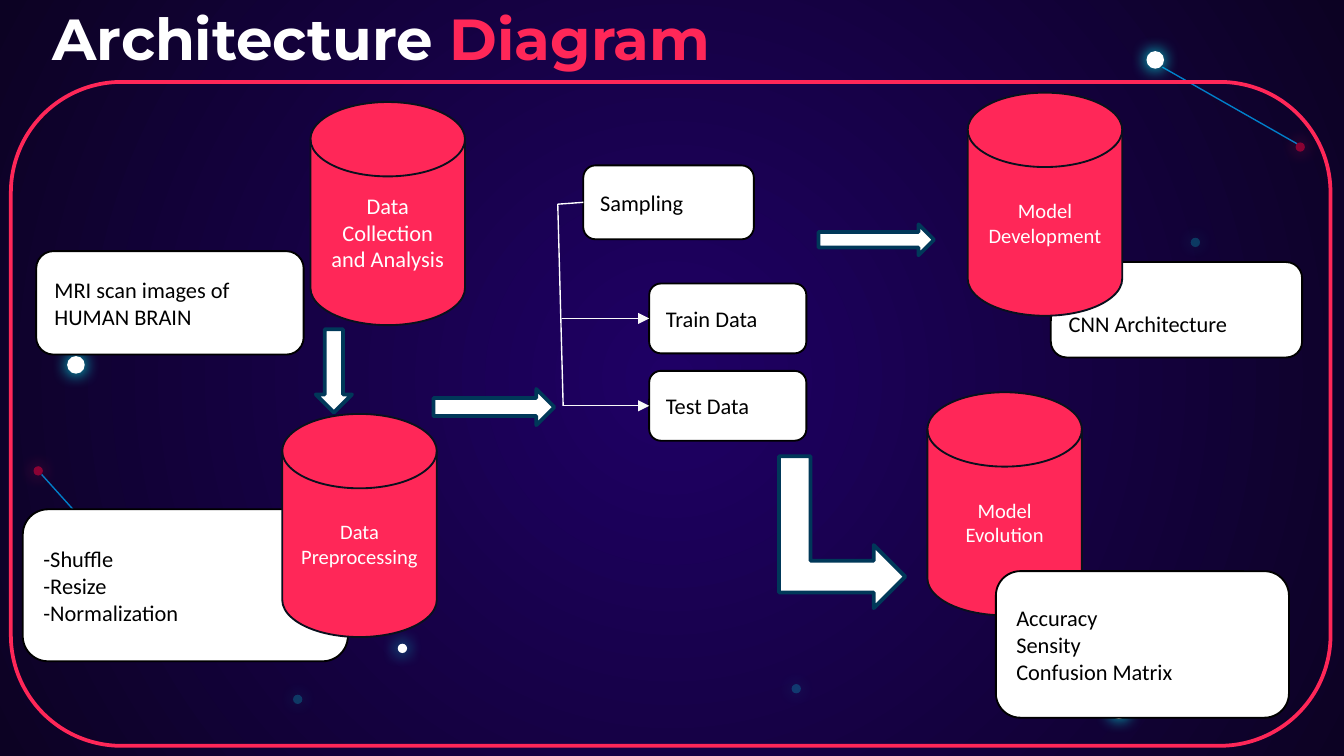
from dataclasses import dataclass

from lxml import etree
from pptx import Presentation
from pptx import util as u
from pptx.dml.color import RGBColor
from pptx.enum import shapes, text
from pptx.oxml.ns import qn

KIND = shapes.MSO_SHAPE


@dataclass(frozen=True)
class Theme:
    center: str = "1F0065"
    edge: str = "0C0223"
    white: str = "FFFFFF"
    black: str = "000000"
    accent: str = "FF2758"
    red: str = "FF003A"
    cyan: str = "00FFFD"
    thread: str = "007FCA"
    disk_line: str = "09101D"
    arrow_line: str = "003859"
    branch: str = "F9F9F9"
    heading_font: str = "Montserrat"
    body_font: str = "Calibri"
    heading: int = 31
    body: int = 12
    small: int = 11


def add_element(parent, tag, **attributes):
    return etree.SubElement(parent, qn(tag), {k: str(v) for k, v in attributes.items()})


def write(para, content, *, size, color, font, bold=False):
    span = para.add_run()
    span.text = content
    span.font.size = u.Pt(size)
    span.font.name = font
    span.font.bold = bold
    span.font.color.rgb = RGBColor.from_string(color)


class PageBuilder:
    def __init__(self, page, theme):
        self.page = page
        self.theme = theme

    def background(self):
        fill = self.page.background.fill
        fill.gradient()
        for stop, color, position in zip(
            fill.gradient_stops, (self.theme.center, self.theme.edge), (0, 1)
        ):
            stop.color.rgb = RGBColor.from_string(color)
            stop.position = position
        gradient = self.page.background._cSld.find(".//" + qn("a:gradFill"))
        gradient.remove(gradient.find(qn("a:lin")))
        route = etree.Element(qn("a:path"), {"path": "circle"})
        gradient.find(qn("a:gsLst")).addnext(route)
        add_element(route, "a:fillToRect", l=50000, t=50000, r=50000, b=50000)

    def title(self, left, top, width, height, parts):
        box = self.page.shapes.title
        box.left, box.top, box.width, box.height = map(u.Pt, (left, top, width, height))
        frame = box.text_frame
        frame.auto_size = text.MSO_AUTO_SIZE.NONE
        frame.word_wrap = True
        frame.vertical_anchor = text.MSO_ANCHOR.MIDDLE
        frame.margin_left = frame.margin_right = u.Pt(7.2)
        frame.margin_top = frame.margin_bottom = u.Pt(7.2)
        para = frame.paragraphs[0]
        para.alignment = text.PP_ALIGN.LEFT
        para.line_spacing = 1
        for content, color in parts:
            write(para, content, size=self.theme.heading, color=color,
                  font=self.theme.heading_font, bold=True)

    def shape(self, kind, left, top, width, height, fill=None, line=None, weight=1):
        box = self.page.shapes.add_shape(kind, *map(u.Pt, (left, top, width, height)))
        box.shadow.inherit = False
        if fill:
            box.fill.solid()
            box.fill.fore_color.rgb = RGBColor.from_string(fill)
        else:
            box.fill.background()
        if line:
            box.line.color.rgb = RGBColor.from_string(line)
            box.line.width = u.Pt(weight)
        else:
            box.line.fill.background()
        return box

    def dot(self, left, top, size, color, glow, opacity=100):
        box = self.shape(KIND.OVAL, left, top, size, size, fill=color)
        properties = box.element.spPr
        if opacity < 100:
            tint = properties.find(qn("a:solidFill")).find(qn("a:srgbClr"))
            add_element(tint, "a:alpha", val=opacity * 1000)
        shadow = add_element(properties.find(qn("a:effectLst")), "a:outerShdw",
                             blurRad=u.Pt(9), dist=0, dir=0, algn="ctr", rotWithShape=0)
        add_element(shadow, "a:srgbClr", val=glow)

    def fill_text(self, box, lines, align, **style):
        frame = box.text_frame
        frame.word_wrap = True
        frame.vertical_anchor = text.MSO_ANCHOR.MIDDLE
        for index, content in enumerate(lines):
            para = frame.add_paragraph() if index else frame.paragraphs[0]
            para.alignment = align
            write(para, content, font=self.theme.body_font, **style)

    def card(self, left, top, width, height, *lines, inset_top=3.6):
        box = self.shape(KIND.ROUNDED_RECTANGLE, left, top, width, height,
                         self.theme.white, self.theme.black)
        box.text_frame.margin_top = u.Pt(inset_top)
        self.fill_text(box, lines, text.PP_ALIGN.LEFT,
                       size=self.theme.body, color=self.theme.black)
        return box

    def disk(self, left, top, label, size):
        box = self.shape(KIND.FLOWCHART_MAGNETIC_DISK, left, top, 82.8, 119.5,
                         self.theme.accent, self.theme.disk_line)
        self.fill_text(box, [label], text.PP_ALIGN.CENTER,
                       size=size, color=self.theme.white)

    def arrow(self, kind, left, top, width, height, rotation=0):
        box = self.shape(kind, left, top, width, height,
                         self.theme.white, self.theme.arrow_line, 2)
        box.rotation = rotation

    def line(self, start, end, color, source=None, target=None, arrow=False):
        link = self.page.shapes.add_connector(
            shapes.MSO_CONNECTOR.STRAIGHT, *map(u.Pt, (*start, *end)))
        link.line.color.rgb = RGBColor.from_string(color)
        link.line.width = u.Pt(0.75)
        if source:
            link.begin_connect(source, 1)
        if target:
            link.end_connect(target, 1)
        if arrow:
            add_element(link.line._get_or_add_ln(), "a:tailEnd", type="triangle")
        add_element(link.element.spPr, "a:effectLst")


def main():
    deck = Presentation()
    deck.slide_width, deck.slide_height = u.Pt(720), u.Pt(405)
    theme = Theme()
    builder = PageBuilder(deck.slides.add_slide(deck.slide_layouts[5]), theme)
    builder.background()
    builder.title(20.9, -2.2, 607, 44.6,
                  [("Architecture ", theme.white), ("Diagram", theme.accent)])

    builder.line((54.7, 290.2), (22.3, 254.2), theme.thread)
    builder.line((622.8, 36), (694.8, 77), theme.thread)
    for left, top, size in [(36, 190.8, 9.4), (594.7, 375.8, 9.4),
                            (614.2, 27.4, 9.4), (213.1, 344.9, 5)]:
        builder.dot(left, top, size, theme.white, theme.cyan)
    for left, top in [(18, 249.8), (694.1, 76.3)]:
        builder.dot(left, top, 5, theme.red, theme.accent, 48)
    for left, top in [(424.1, 366.5), (157, 372.2), (637.9, 127.4)]:
        builder.dot(left, top, 5, theme.cyan, theme.cyan, 20)

    builder.disk(496.8, 210.2, "Model Evolution", theme.small)
    builder.card(19.4, 134.6, 143.3, 55.4, "MRI scan images of", "HUMAN BRAIN")
    builder.card(12.2, 272.9, 174.2, 81.4, "-Shuffle", "-Resize", "-Normalization")
    sampling = builder.card(312.5, 88.6, 91.4, 39.6, "Sampling")
    train = builder.card(347.8, 151.9, 84.2, 37.4, "Train Data")
    test = builder.card(347.8, 198.7, 84.2, 37.4, "Test Data")
    builder.card(563, 140.4, 134.6, 51.1, "CNN Architecture", inset_top=18)
    builder.card(533.5, 306, 157, 78.5, "Accuracy", "Sensity", "Confusion Matrix")
    builder.disk(151.2, 221.8, "Data Preprocessing", theme.small)
    builder.disk(518.4, 49.7, "Model Development", theme.small)

    builder.arrow(KIND.DOWN_ARROW, 169.2, 176.4, 19.4, 44.6)
    builder.arrow(KIND.RIGHT_ARROW, 232.2, 208.4, 64.8, 19.4)
    builder.arrow(KIND.RIGHT_ARROW, 438.5, 120.2, 61.9, 16.6)
    builder.arrow(KIND.BENT_UP_ARROW, 410.4, 251.3, 81.4, 67.7, rotation=90)

    corner, foot = (298.8, 109.4), (301.7, 217.4)
    builder.line((312.5, 108.4), corner, theme.white, source=sampling)
    builder.line(corner, foot, theme.white)
    builder.line((301, 170.6), (347.8, 170.6), theme.branch, target=train, arrow=True)
    builder.line(foot, (347.8, 217.4), theme.branch, target=test, arrow=True)

    builder.disk(166.3, 54.7, "Data Collection and Analysis", theme.body)
    builder.shape(KIND.ROUNDED_RECTANGLE, 5.8, 43.9, 707, 355.7,
                  line=theme.accent, weight=2)
    deck.save("out.pptx")


if __name__ == "__main__":
    main()
